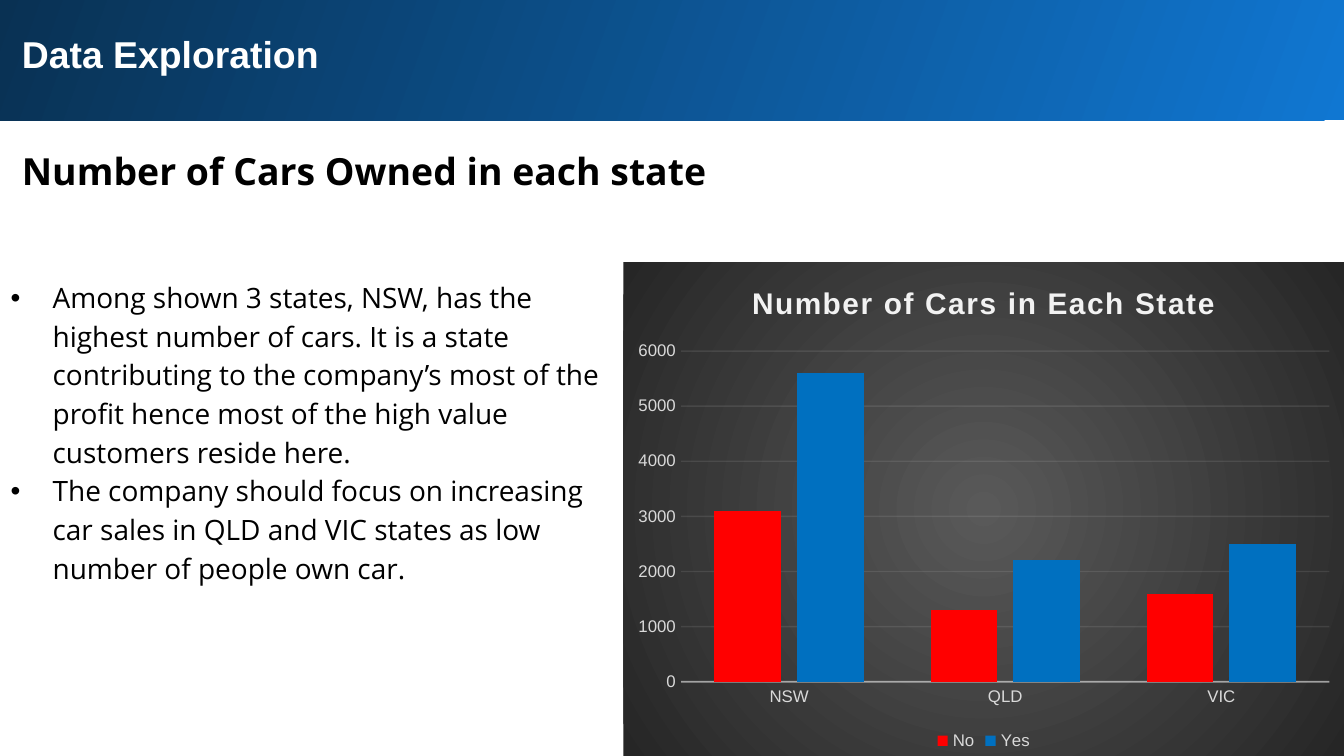
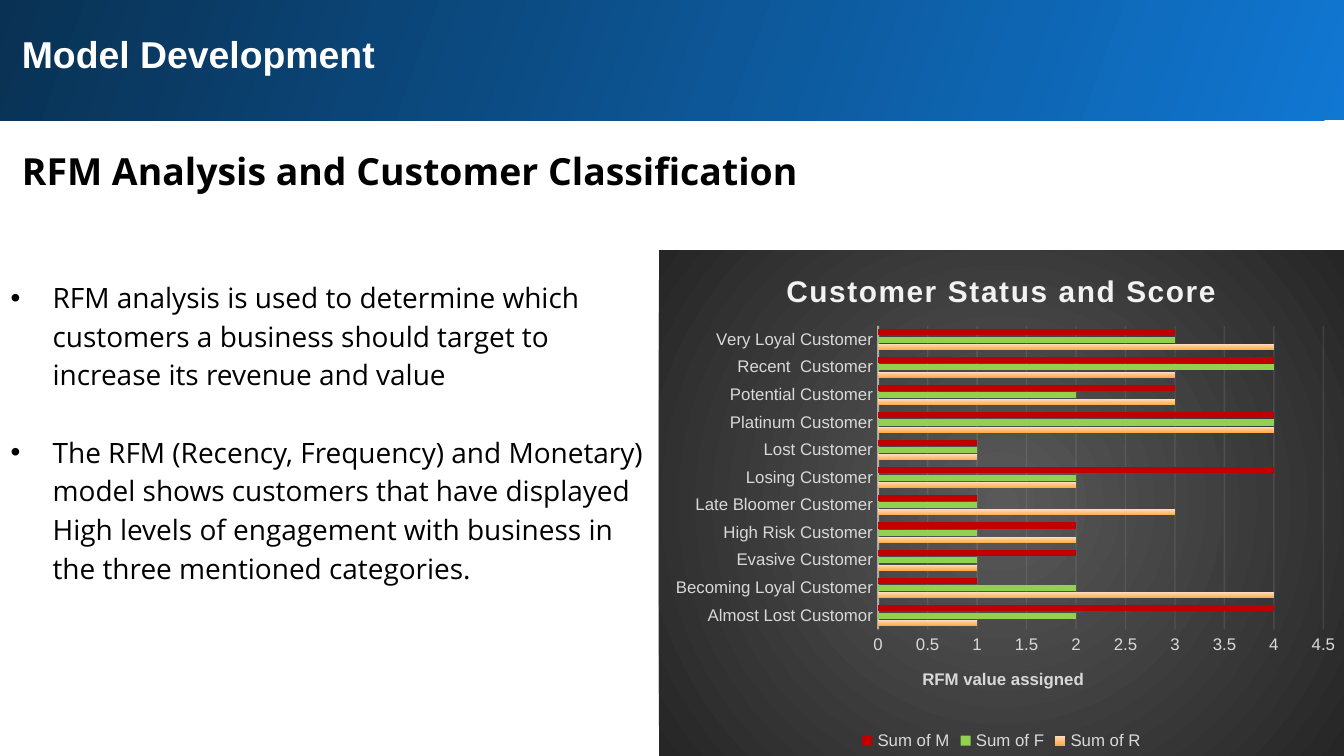
from dataclasses import dataclass

import lxml.etree
import pptx
import pptx.chart.data
import pptx.dml.color
import pptx.enum.chart
import pptx.enum.shapes
import pptx.enum.text
import pptx.oxml
import pptx.oxml.ns
import pptx.util

Pt = pptx.util.Pt
qn = pptx.oxml.ns.qn


@dataclass(frozen=True)
class Theme:
    heading_font: str = "Arial"
    body_font: str = "Open Sans"
    white: str = "FFFFFF"
    black: str = "000000"
    band: tuple = ("1077D2", "093153")
    panel: tuple = ("595959", "262626")
    chart_title: str = "F2F2F2"
    chart_text: str = "D9D9D9"
    rule: str = "F2F2F2"
    heading_size: float = 20
    body_size: float = 15
    chart_title_size: float = 16
    label_size: float = 9
    line_spacing: float = 1.15
    indent: float = 22.5
    inset: float = 7.2


T = Theme()
BAND = (-1.5, -1.5, 723, 66)
TITLE = (4.5, 9.5, 674.5, 39)
SUBTITLE = (4.5, 68.5, 674.5, 40.5)


# Formatting helpers
def rgb(color):
    return pptx.dml.color.RGBColor.from_string(color)


def paint(fill, color):
    """Solid for one colour; gradient for (start, end, angle)."""
    if isinstance(color, str):
        fill.solid()
        fill.fore_color.rgb = rgb(color)
        return
    start, end, angle = color
    fill.gradient()
    fill.gradient_angle = angle
    for stop, c in zip(fill.gradient_stops, (start, end)):
        stop.color.rgb = rgb(c)


def style_font(font, size, color, name=T.heading_font, bold=False):
    font.size, font.name, font.bold = Pt(size), name, bold
    font.color.rgb = rgb(color)


def style_line(line, width, opacity):
    line.width = Pt(width)
    line.color.rgb = rgb(T.rule)
    for clr in line._ln.iter(qn("a:srgbClr")):
        alpha = lxml.etree.SubElement(clr, qn("a:alpha"))
        alpha.set("val", str(opacity * 1000))


def set_layout(parent, index, **edges):
    """Place a chart part by fractions of the chart area."""
    old = parent.find(qn("c:layout"))
    if old is not None:
        parent.remove(old)
    layout = lxml.etree.Element(qn("c:layout"))
    manual = lxml.etree.SubElement(layout, qn("c:manualLayout"))
    values = {"xMode": "edge", "yMode": "edge", **edges}
    if "w" in edges:
        values = {"layoutTarget": "inner", **values}
    for tag, value in values.items():
        lxml.etree.SubElement(manual, qn("c:" + tag)).set("val", str(value))
    parent.insert(index, layout)


def write_text(sp, box, lines, size=T.body_size, color=T.black,
               font=T.body_font, bold=False, spacing=T.line_spacing,
               bullets=False, gap=0):
    sp.left, sp.top, sp.width, sp.height = map(Pt, box)
    tf = sp.text_frame
    tf.word_wrap = True
    tf.auto_size = pptx.enum.text.MSO_AUTO_SIZE.SHAPE_TO_FIT_TEXT
    tf.vertical_anchor = pptx.enum.text.MSO_ANCHOR.TOP
    tf.margin_left = tf.margin_right = Pt(T.inset)
    tf.margin_top = tf.margin_bottom = Pt(T.inset)
    for i, line in enumerate(lines):
        p = tf.paragraphs[0] if i == 0 else tf.add_paragraph()
        p.alignment = pptx.enum.text.PP_ALIGN.LEFT
        p.line_spacing = spacing
        p.space_before = Pt(gap if i else 0)
        p.space_after = Pt(0)
        pPr = p._p.get_or_add_pPr()
        indent = Pt(T.indent) if bullets else 0
        pPr.set("marL", str(indent))
        pPr.set("indent", str(-indent))
        if bullets:
            lxml.etree.SubElement(pPr, qn("a:buFont")).set("typeface", "Arial")
            lxml.etree.SubElement(pPr, qn("a:buChar")).set("char", "•")
        else:
            lxml.etree.SubElement(pPr, qn("a:buNone"))
        r = p.add_run()
        r.text = line
        style_font(r.font, size, color, font, bold)


# Regions
def add_band(slide, box):
    sp = slide.shapes.add_shape(
        pptx.enum.shapes.MSO_SHAPE.RECTANGLE, *map(Pt, box))
    sp.shadow.inherit = False
    paint(sp.fill, (*T.band, 160))
    sp.line.fill.background()
    slide.shapes._spTree.insert(2, sp._element)  # behind the title


def add_panel_fill(chart):
    """Radial gradient behind the whole chart."""
    inner, outer = T.panel
    spPr = pptx.oxml.parse_xml(
        f'<c:spPr {pptx.oxml.ns.nsdecls("c", "a")}>'
        '<a:gradFill><a:gsLst>'
        f'<a:gs pos="0"><a:srgbClr val="{inner}"/></a:gs>'
        f'<a:gs pos="100000"><a:srgbClr val="{outer}"/></a:gs>'
        '</a:gsLst><a:path path="circle">'
        '<a:fillToRect l="50000" t="50000" r="50000" b="50000"/>'
        '</a:path></a:gradFill><a:ln><a:noFill/></a:ln></c:spPr>')
    chart._chartSpace.find(qn("c:chart")).addnext(spPr)


def write_chart_title(tf, text, size, color, tracking=0):
    r = tf.paragraphs[0].add_run()
    r.text = text
    style_font(r.font, size, color, bold=True)
    r._r.get_or_add_rPr().set("spc", str(tracking))


def add_bars(slide, box, kind, title, cats, series, gap, overlap, top, step,
             plot, axis_title=None, axis_title_at=None):
    data = pptx.chart.data.CategoryChartData()
    data.categories = cats
    for name, _, values in series:
        data.add_series(name, values)
    chart = slide.shapes.add_chart(kind, *map(Pt, box), data).chart
    style_font(chart.font, 10, T.black)
    add_panel_fill(chart)
    chart.has_title = True
    write_chart_title(chart.chart_title.text_frame, title,
                      T.chart_title_size, T.chart_title, tracking=100)
    chart.chart_title.include_in_layout = False

    # Bars
    bars = chart.plots[0]
    bars.vary_by_categories = False
    bars.gap_width, bars.overlap = gap, overlap
    for s, (_, color, _) in zip(bars.series, series):
        s.invert_if_negative = False
        paint(s.format.fill, color)

    # Axes
    cat, val = chart.category_axis, chart.value_axis
    for axis in (cat, val):
        axis.major_tick_mark = pptx.enum.chart.XL_TICK_MARK.NONE
        axis.minor_tick_mark = pptx.enum.chart.XL_TICK_MARK.NONE
        style_font(axis.tick_labels.font, T.label_size, T.chart_text)
    style_line(cat.format.line, 1, 54)
    val.format.line.fill.background()
    val.has_major_gridlines = True
    style_line(val.major_gridlines.format.line, 0.75, 10)
    val.minimum_scale, val.maximum_scale, val.major_unit = 0, top, step
    if axis_title:
        write_chart_title(val.axis_title.text_frame, axis_title,
                          T.label_size, T.chart_text)
        x, y = axis_title_at
        set_layout(val.axis_title._element, 1, x=x, y=y)

    # Legend and plot position
    chart.has_legend = True
    chart.legend.position = pptx.enum.chart.XL_LEGEND_POSITION.BOTTOM
    chart.legend.include_in_layout = False
    style_font(chart.legend.font, T.label_size, T.chart_text)
    set_layout(chart._chartSpace.find(".//" + qn("c:plotArea")), 0,
               **dict(zip("xywh", plot)))


def add_content_slide(prs, title, subtitle, points, points_box, gap, chart):
    slide = prs.slides.add_slide(prs.slide_layouts[3])
    heading, subheading, body = slide.placeholders
    add_band(slide, BAND)
    write_text(heading, TITLE, [title], size=T.heading_size, color=T.white,
               font=T.heading_font, bold=True, spacing=1.0)
    write_text(subheading, SUBTITLE, [subtitle], size=T.heading_size,
               bold=True)
    write_text(body, points_box, points, bullets=True, gap=gap)
    add_bars(slide, **chart)


prs = pptx.Presentation()
prs.slide_width, prs.slide_height = Pt(720), Pt(405)

# Slide 1: cars by state
add_content_slide(
    prs, "Data Exploration", "Number of Cars Owned in each state",
    ["Among shown 3 states, NSW, has the highest number of cars. It is a "
     "state contributing to the company’s most of the profit hence most of "
     "the high value customers reside here.",
     "The company should focus on increasing car sales in QLD and VIC states "
     "as low number of people own car."],
    points_box=(-1.5, 140.5, 342, 181.5), gap=0,
    chart=dict(
        box=(334, 140.5, 386, 264.5),
        kind=pptx.enum.chart.XL_CHART_TYPE.COLUMN_CLUSTERED,
        title="Number of Cars in Each State",
        cats=["NSW", "QLD", "VIC"],
        series=[("No", "FF0000", (3100, 1300, 1600)),
                ("Yes", "0070C0", (5600, 2200, 2500))],
        gap=100, overlap=-24, top=6000, step=1000,
        plot=(0.08, 0.18, 0.9, 0.67)))

# Slide 2: customer scores
add_content_slide(
    prs, "Model Development", "RFM Analysis and Customer Classification",
    ["RFM analysis is used to determine which customers a business should "
     "target to increase its revenue and value",
     "The RFM (Recency, Frequency) and Monetary) model shows customers that "
     "have displayed High levels of engagement with business in the three "
     "mentioned categories."],
    points_box=(-1.5, 140.5, 353.5, 181.5), gap=20.7,
    chart=dict(
        box=(353, 134, 367, 271),
        kind=pptx.enum.chart.XL_CHART_TYPE.BAR_CLUSTERED,
        title="Customer Status and Score",
        cats=["Almost Lost Customor", "Becoming Loyal Customer",
              "Evasive Customer", "High Risk Customer",
              "Late Bloomer Customer", "Losing Customer", "Lost Customer",
              "Platinum Customer", "Potential Customer", "Recent  Customer",
              "Very Loyal Customer"],
        series=[("Sum of R", ("FFAB40", "FFDAC0", 90),
                 (1, 4, 1, 2, 3, 2, 1, 4, 3, 3, 4)),
                ("Sum of F", "92D050", (2, 2, 1, 1, 1, 2, 1, 4, 2, 4, 3)),
                ("Sum of M", "C00000", (4, 1, 2, 2, 1, 4, 1, 4, 3, 4, 3))],
        gap=115, overlap=-20, top=4.5, step=0.5,
        plot=(0.32, 0.15, 0.65, 0.6),
        axis_title="RFM value assigned", axis_title_at=(0.38, 0.82)))

prs.save("out.pptx")
